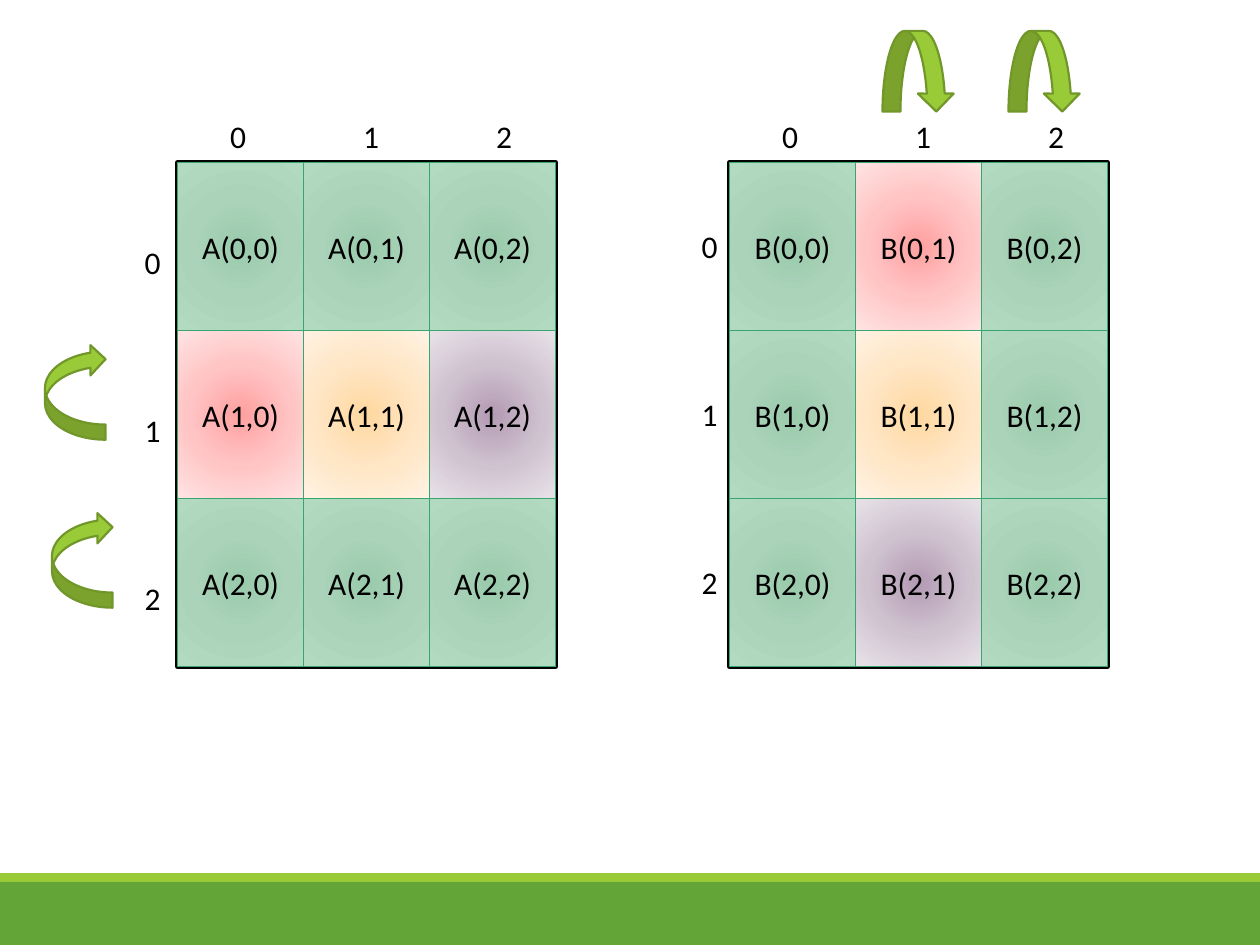
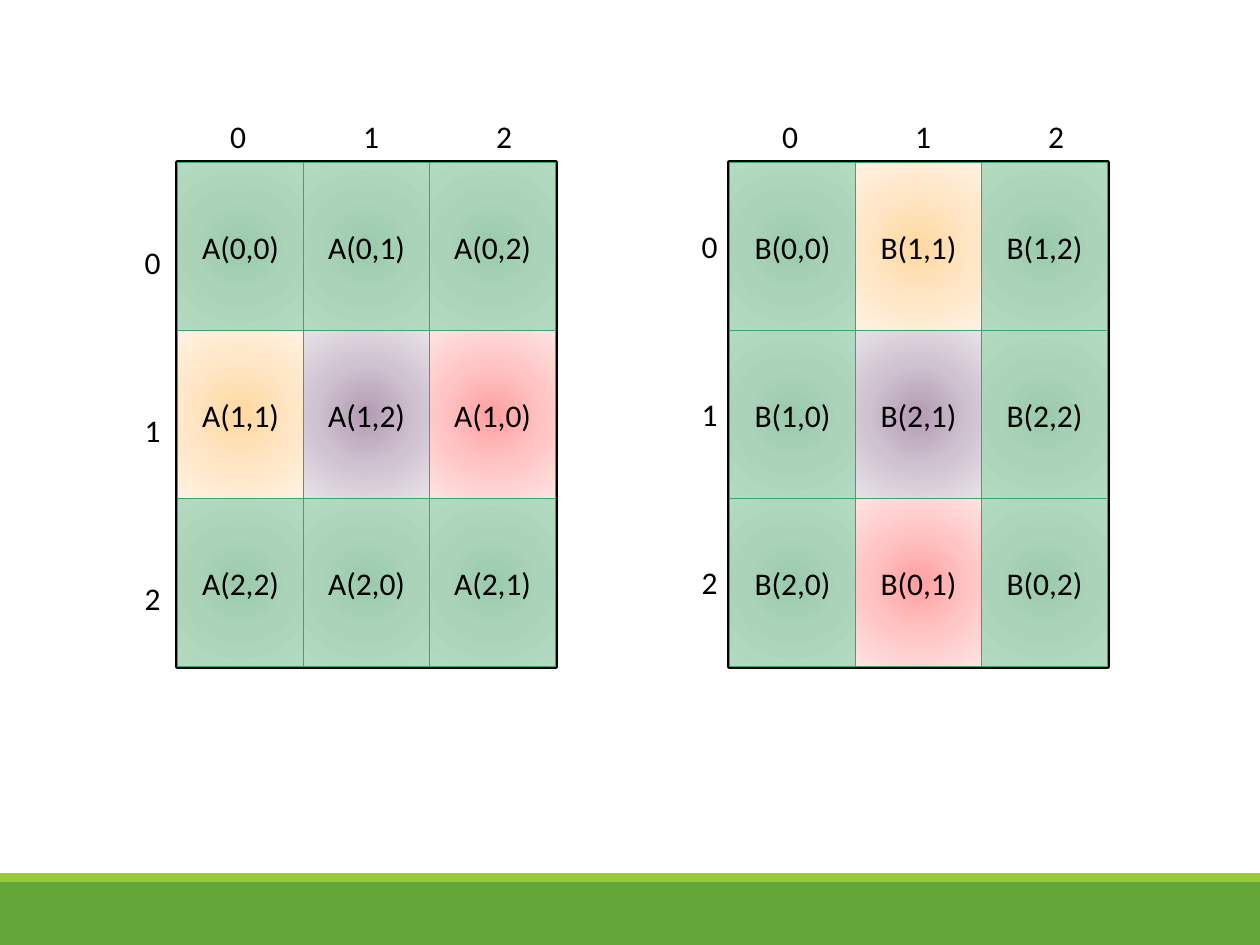
from lxml.etree import SubElement
from pptx import Presentation
from pptx.dml.color import RGBColor
from pptx.enum.shapes import MSO_SHAPE
from pptx.enum.text import MSO_ANCHOR, MSO_AUTO_SIZE, PP_ALIGN
from pptx.oxml.ns import qn
from pptx.util import Pt

COLORS = {
    "band": "63A537", "stripe": "99CB38", "arrow_line": "719629",
    "cell_line": "37A76F", "black": "000000", "white": "FFFFFF",
}
GRADIENTS = {
    "green": [(0, "9ACAAC"), (45, "AAD3B9"), (100, "B1DAC0")],
    "red": [(0, "FFA0A0"), (50, "FFC5C5"), (100, "FFE3E3")],
    "orange": [(0, "FFD8A0"), (50, "FFE6C5"), (100, "FFF2E3")],
    "purple": [(0, "B49BB4"), (50, "D0C3D0"), (100, "E8E2E8")],
}
HIGHLIGHTS = {
    "A(1,0)": "red", "A(1,1)": "orange", "A(1,2)": "purple",
    "B(0,1)": "red", "B(1,1)": "orange", "B(2,1)": "purple",
}
SLIDE_W, SLIDE_H = 720, 540
N, CELL_W, CELL_H = 3, 72, 96
A_BOX, B_BOX = (101.5, 92.9), (416.9, 92.9)
A_LABELS, B_LABELS = (-25.9, 42.3), (-23, 33)
A_SHIFTS, B_SHIFTS = (0, 1, 2), (0, 1, 1)


def rgb(name):
    return RGBColor.from_string(COLORS[name])


def set_text(sp, text, size=18, font="Calibri", color="black",
             align=PP_ALIGN.LEFT, anchor=MSO_ANCHOR.TOP, wrap=True):
    tf = sp.text_frame
    tf.word_wrap = wrap
    tf.vertical_anchor = anchor
    p = tf.paragraphs[0]
    p.alignment = align
    r = p.add_run()
    r.text = text
    r.font.size, r.font.name = Pt(size), font
    r.font.color.rgb = rgb(color)


def add_box(slide, x, y, w, h, fill="white", line=None, width=1, shape=MSO_SHAPE.RECTANGLE):
    sp = slide.shapes.add_shape(shape, Pt(x), Pt(y), Pt(w), Pt(h))
    sp.shadow.inherit = False
    sp.fill.solid()
    sp.fill.fore_color.rgb = rgb(fill)
    if line:
        sp.line.color.rgb = rgb(line)
        sp.line.width = Pt(width)
    else:
        sp.line.fill.background()
    return sp


def fill_radial(sp, stops):
    """Replace the solid fill with a gradient that spreads from the centre."""
    solid = sp._element.spPr.find(qn("a:solidFill"))
    grad = solid.makeelement(qn("a:gradFill"), {"rotWithShape": "1"})
    stop_list = SubElement(grad, qn("a:gsLst"))
    for pos, color in stops:
        gs = SubElement(stop_list, qn("a:gs"), pos=str(pos * 1000))
        SubElement(gs, qn("a:srgbClr"), val=color)
    circle = SubElement(grad, qn("a:path"), {"path": "circle"})
    SubElement(circle, qn("a:fillToRect"), {side: "50000" for side in "ltrb"})
    solid.getparent().replace(solid, grad)


def add_label(slide, text, x, y):
    tb = slide.shapes.add_textbox(Pt(x), Pt(y), Pt(23.7), Pt(29))
    set_text(tb, text, wrap=False)
    tb.text_frame.auto_size = MSO_AUTO_SIZE.SHAPE_TO_FIT_TEXT


def add_matrix(slide, box, cells, row_labels):
    x, y = box
    add_box(slide, x, y, N * CELL_W, N * CELL_H, line="black", width=3)
    for i, row in enumerate(cells):
        for j, text in enumerate(row):
            sp = add_box(slide, x + j * CELL_W, y + i * CELL_H, CELL_W, CELL_H, line="cell_line")
            fill_radial(sp, GRADIENTS[HIGHLIGHTS.get(text, "green")])
            set_text(sp, text, align=PP_ALIGN.CENTER, anchor=MSO_ANCHOR.MIDDLE)
    dx, dy = row_labels
    for k in range(N):
        add_label(slide, str(k), x + dx, y + dy + k * CELL_H)
        add_label(slide, str(k), x + 23 + k * 76, y - 29.5)


def add_arrow(slide, x, y, w, h, rotation=0):
    sp = add_box(slide, x, y, w, h, "stripe", "arrow_line", 1.25, MSO_SHAPE.CURVED_RIGHT_ARROW)
    sp._element.spPr.find(qn("a:xfrm")).set("flipV", "1")
    sp.rotation = rotation


def add_shift_arrows(slide):
    for k in range(2):
        add_arrow(slide, 25.7 + k * 4, 196.6 + k * CELL_H, 34.6, 54.7)
    for k in range(2):
        add_arrow(slide, 501.8 + k * CELL_W, 20.2, 46.1, 41, rotation=90)


def add_footer(slide):
    add_box(slide, 0, 504, SLIDE_W, 36, "band")
    add_box(slide, 0, 499, SLIDE_W, 5, "stripe")


def add_matrix_slide(prs, a_shifts, b_shifts):
    """Draw A with each row shifted left and B with each column shifted up."""
    slide = prs.slides.add_slide(prs.slide_layouts[6])
    add_footer(slide)
    a = [[f"A({i},{(j + a_shifts[i]) % N})" for j in range(N)] for i in range(N)]
    b = [[f"B({(i + b_shifts[j]) % N},{j})" for j in range(N)] for i in range(N)]
    add_matrix(slide, A_BOX, a, A_LABELS)
    add_matrix(slide, B_BOX, b, B_LABELS)
    return slide


def main():
    prs = Presentation()
    prs.slide_width, prs.slide_height = Pt(SLIDE_W), Pt(SLIDE_H)
    unshifted = (0,) * N
    add_shift_arrows(add_matrix_slide(prs, unshifted, unshifted))
    add_matrix_slide(prs, A_SHIFTS, B_SHIFTS)
    prs.save("out.pptx")


if __name__ == "__main__":
    main()
